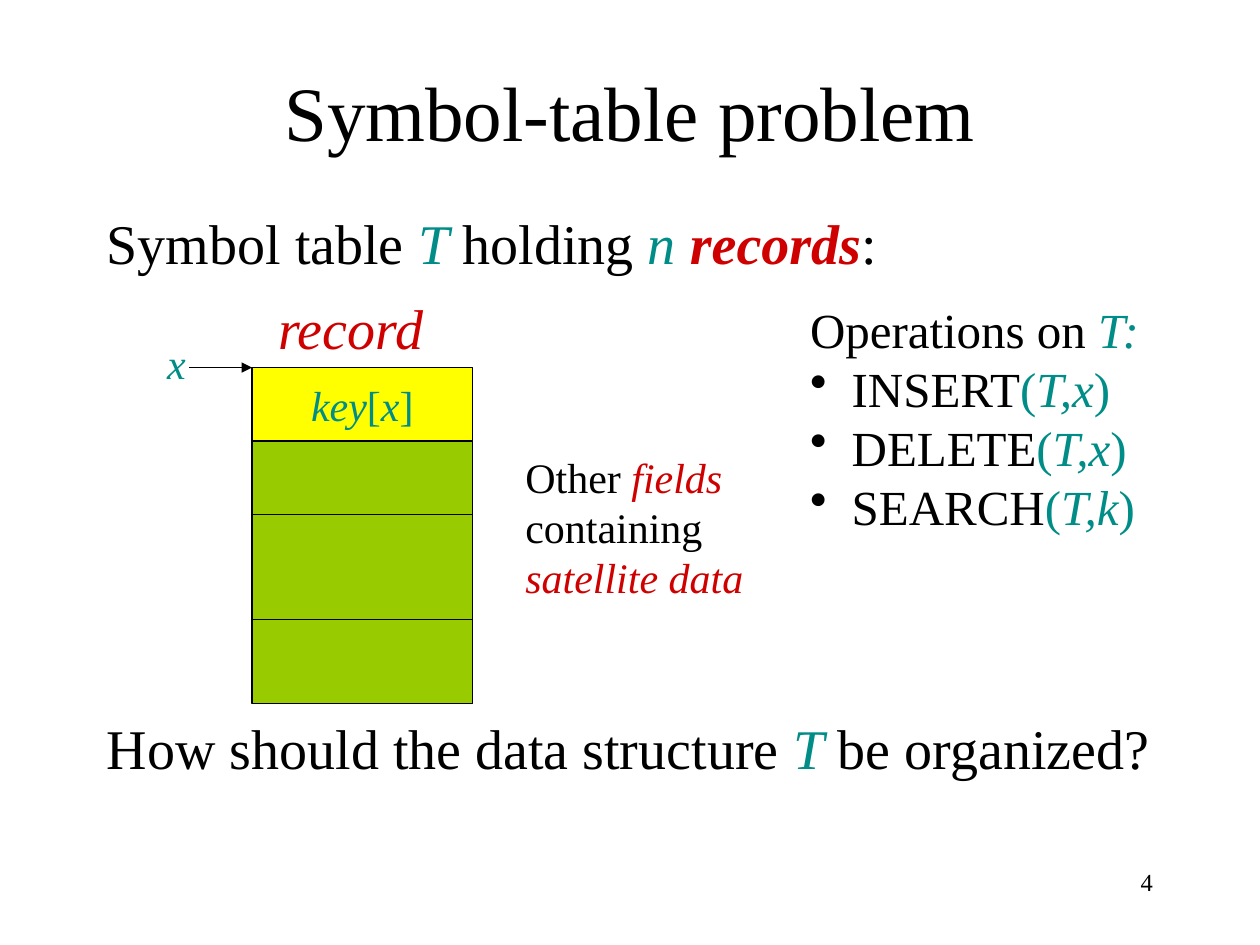
from typing import NamedTuple

from lxml.etree import SubElement
from pptx import Presentation
from pptx.dml.color import RGBColor
from pptx.enum.shapes import MSO_CONNECTOR, MSO_SHAPE
from pptx.enum.text import MSO_ANCHOR, MSO_AUTO_SIZE, PP_ALIGN
from pptx.oxml.ns import qn
from pptx.util import Cm, Pt

FONT = "Times New Roman"
BLACK, TEAL, RED = "000000", "008C87", "CE0000"
YELLOW, GREEN = "FFFF00", "99CC00"


class Span(NamedTuple):
    text: str
    color: str = BLACK
    italic: bool = False
    bold: bool = False


class Box(NamedTuple):
    left: float
    top: float
    width: float
    height: float


class Label(NamedTuple):
    box: Box
    size: int
    lines: list[list[Span]]
    align: PP_ALIGN = PP_ALIGN.LEFT


def rgb(color: str) -> RGBColor:
    return RGBColor.from_string(color)


def var(text: str) -> Span:
    return Span(text, TEAL, italic=True)


def term(text: str) -> Span:
    return Span(text, RED, italic=True)


def write(p, spans: list[Span], size: int) -> None:
    for span in spans:
        r = p.add_run()
        r.text = span.text
        r.font.name, r.font.size = FONT, Pt(size)
        r.font.bold, r.font.italic = span.bold, span.italic
        r.font.color.rgb = rgb(span.color)


def write_lines(tf, lines: list[list[Span]], size: int, align: PP_ALIGN) -> None:
    for i, spans in enumerate(lines):
        p = tf.paragraphs[0] if i == 0 else tf.add_paragraph()
        p.alignment = align
        write(p, spans, size)


def set_bullet(p, char: str | None, indent: float) -> None:
    pPr = p._p.get_or_add_pPr()
    pPr.set("marL", str(Cm(indent)))
    pPr.set("indent", str(-Cm(indent)))
    if char:
        SubElement(pPr, qn("a:buChar")).set("char", char)
    else:
        SubElement(pPr, qn("a:buNone"))


def place(sp, box: Box) -> None:
    sp.left, sp.top, sp.width, sp.height = map(Cm, box)


def add_label(s, label: Label, wrap: bool = False):
    tf = s.shapes.add_textbox(*map(Cm, label.box)).text_frame
    tf.word_wrap = wrap
    write_lines(tf, label.lines, label.size, label.align)
    return tf


def add_field(s, box: Box, color: str):
    sp = s.shapes.add_shape(MSO_SHAPE.RECTANGLE, *map(Cm, box))
    sp.shadow.inherit = False
    sp.fill.solid()
    sp.fill.fore_color.rgb = rgb(color)
    sp.line.color.rgb = rgb(BLACK)
    sp.line.width = Pt(0.75)
    return sp


def add_rule(s, x1: float, x2: float, y: float, arrow: bool = False) -> None:
    line = s.shapes.add_connector(MSO_CONNECTOR.STRAIGHT, Cm(x1), Cm(y), Cm(x2), Cm(y))
    line.line.color.rgb = rgb(BLACK)
    line.line.width = Pt(0.75)
    if arrow:
        SubElement(line.line._get_or_add_ln(), qn("a:tailEnd")).set("type", "triangle")
    SubElement(line._element.spPr, qn("a:effectLst"))


def operation(name: str, args: str) -> list[Span]:
    return [Span(name), Span("(", TEAL), var(args), Span(")", TEAL)]


def main() -> None:
    prs = Presentation()
    prs.slide_width, prs.slide_height = Cm(25.4), Cm(19.05)
    s = prs.slides.add_slide(prs.slide_layouts[1])

    # Title
    title = s.shapes.title
    place(title, Box(1.9, 0.64, 21.6, 3.17))
    title.text_frame.auto_size = MSO_AUTO_SIZE.NONE
    title.text_frame.vertical_anchor = MSO_ANCHOR.MIDDLE
    write_lines(title.text_frame, [[Span("Symbol-table problem")]], 44, PP_ALIGN.CENTER)

    # Statement above the diagram and question below it
    body = s.placeholders[1]
    place(body, Box(1.9, 4.23, 21.6, 12.7))
    tf = body.text_frame
    tf.auto_size = MSO_AUTO_SIZE.NONE
    write_lines(tf, [
        [Span("Symbol table "), var("T "), Span("holding "), var("n "),
         Span("records", RED, italic=True, bold=True), Span(":")],
        [Span("How should the data structure "), var("T "), Span("be organized?")],
    ], 32, PP_ALIGN.LEFT)
    for p, gap in zip(tf.paragraphs, (0, 254)):
        set_bullet(p, None, 0.95)
        p.line_spacing = 0.9
        p.space_before = Pt(gap)

    # Record: key field on top, satellite fields below
    left, width, top, key_height = 5.08, 4.45, 7.41, 1.48
    key = add_field(s, Box(left, top, width, key_height), YELLOW)
    key.text_frame.word_wrap = False
    key.text_frame.vertical_anchor = MSO_ANCHOR.MIDDLE
    write_lines(key.text_frame, [[var("key"), Span("[", TEAL), var("x"), Span("]", TEAL)]],
                24, PP_ALIGN.CENTER)
    add_field(s, Box(left, top + key_height, width, 5.29), GREEN)
    for y in (10.37, 12.49):
        add_rule(s, left, left + width, y)
    add_rule(s, 3.81, left, top, arrow=True)

    # Labels
    for label in (
        Label(Box(5.36, 5.79, 3.53, 1.6), 32, [[term("record")]]),
        Label(Box(3.12, 6.68, 0.89, 1.27), 24, [[var("x")]]),
        Label(Box(10.34, 8.97, 4.9, 3.3), 24, [
            [Span("Other "), term("fields")], [Span("containing")], [term("satellite data")]]),
        Label(Box(18.21, 17.35, 5.28, 1.27), 14, [[Span("4")]], PP_ALIGN.RIGHT),
    ):
        add_label(s, label, wrap=label.align == PP_ALIGN.RIGHT)

    # Operations
    tf = add_label(s, Label(Box(16.08, 5.92, 7.24, 5), 28, [
        [Span("Operations on"), var(" T:")],
        operation("INSERT", "T,x"),
        operation("DELETE", "T,x"),
        operation("SEARCH", "T,k"),
    ]), wrap=True)
    for p in tf.paragraphs[1:]:
        set_bullet(p, "•", 0.84)

    prs.save("out.pptx")


if __name__ == "__main__":
    main()
